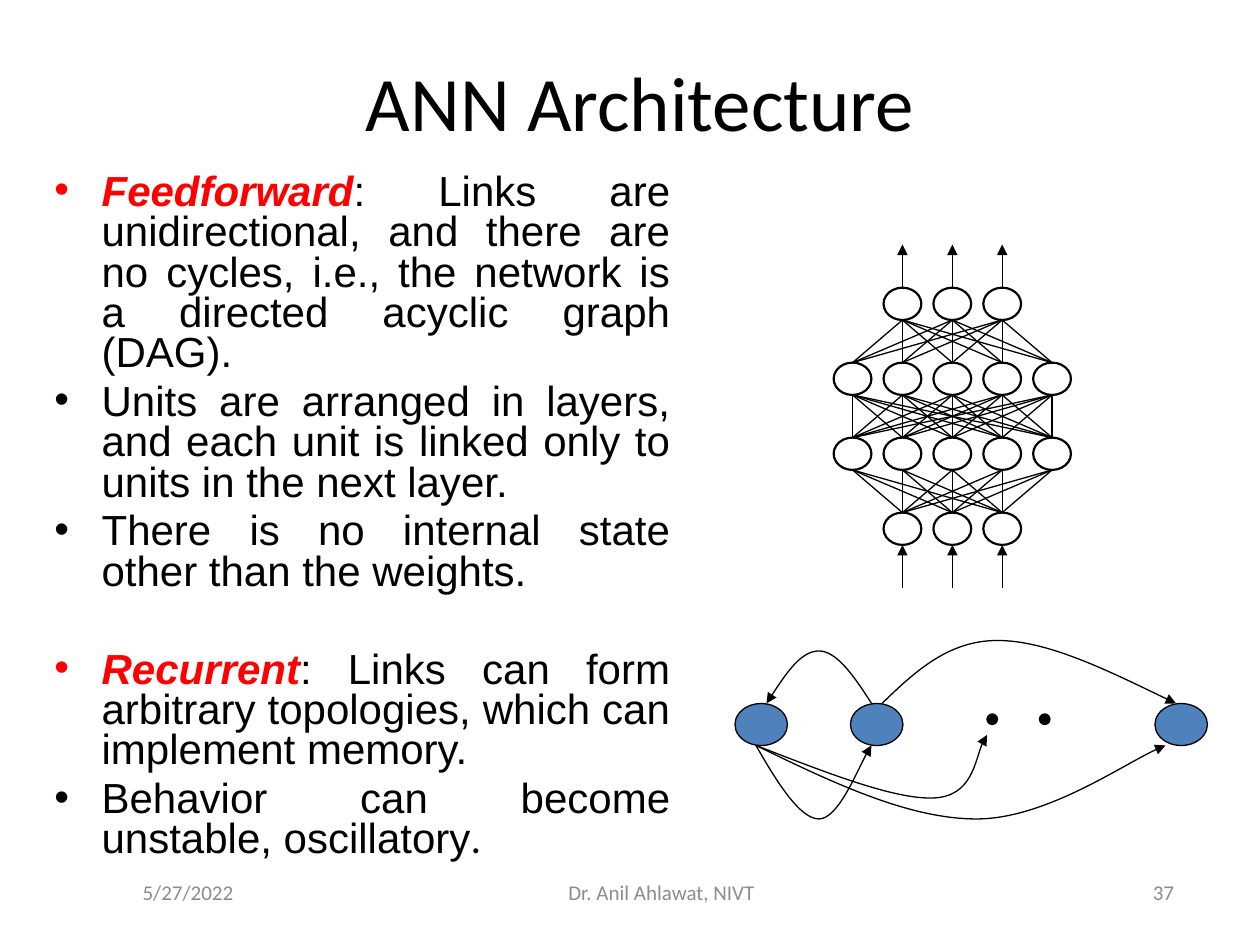
"""Build the ANN Architecture slide on a grid of 120 columns by 90 rows."""
from itertools import pairwise, product

from lxml.etree import SubElement
from pptx import Presentation
from pptx.dml.color import RGBColor
from pptx.enum.shapes import MSO_CONNECTOR, MSO_SHAPE
from pptx.enum.text import MSO_ANCHOR, PP_ALIGN
from pptx.oxml.ns import qn
from pptx.util import Inches, Pt

BLACK = RGBColor(0x00, 0x00, 0x00)
WHITE = RGBColor(0xFF, 0xFF, 0xFF)
RED = RGBColor(0xFF, 0x00, 0x00)
GRAY = RGBColor(0x8C, 0x8C, 0x8C)
BLUE = RGBColor(0x4F, 0x81, 0xBD)

deck = Presentation()
deck.slide_width, deck.slide_height = Inches(10), Inches(7.5)
page = deck.slides.add_slide(deck.slide_layouts[6])
shapes = page.shapes
unit = deck.slide_width / 120


def grid(*counts):
    return [round(count * unit) for count in counts]


def add_span(para, text, font, size, color, strong=False):
    span = para.add_run()
    span.text = text
    span.font.name, span.font.size = font, Pt(size)
    span.font.color.rgb = color
    span.font.bold = span.font.italic = strong


labels = [
    ("ANN Architecture", 10, 0, 102, 19.2, PP_ALIGN.CENTER, 44, BLACK),
    ("5/27/2022", 12.4, 82, 25, 6, PP_ALIGN.LEFT, 12, GRAY),
    ("Dr. Anil Ahlawat, NIVT", 44, 82, 38, 6, PP_ALIGN.CENTER, 12, GRAY),
    ("37", 88, 82, 25, 6, PP_ALIGN.RIGHT, 12, GRAY),
]
for text, left, top, width, height, alignment, size, color in labels:
    box = shapes.add_textbox(*grid(left, top, width, height))
    box.text_frame.word_wrap = True
    box.text_frame.vertical_anchor = MSO_ANCHOR.MIDDLE
    para = box.text_frame.paragraphs[0]
    para.alignment = alignment
    add_span(para, text, "Calibri", size, color)

bullets = [
    ("Feedforward", ": Links are unidirectional, and there are no cycles, i.e., "
     "the network is a directed acyclic graph (DAG).", "", 4.8),
    ("", "Units are arranged in layers, and each unit is linked only to units "
     "in the next layer.", "", 4.8),
    ("", "There is no internal state other than the weights.", "", 4.8),
    ("Recurrent", ": Links can form arbitrary topologies, which can implement "
     "memory.", "", 33),
    ("", "Behavior can become unstable, oscillatory", ".", 4.8),
]
box = shapes.add_textbox(*grid(4, 16, 61, 70))
frame = box.text_frame
frame.word_wrap = True
for index, (term, text, ending, gap) in enumerate(bullets):
    para = frame.add_paragraph() if index else frame.paragraphs[0]
    para.alignment = PP_ALIGN.JUSTIFY
    para.line_spacing, para.space_before = 0.8, Pt(gap)
    settings = para._p.get_or_add_pPr()
    indent = round(4.5 * unit)
    settings.set("marL", str(indent))
    settings.set("indent", str(-indent))
    SubElement(settings, qn("a:buFont")).set("typeface", "Arial")
    SubElement(settings, qn("a:buChar")).set("char", "•")
    if term:
        add_span(para, term, "Arial", 24, RED, strong=True)
    add_span(para, text, "Arial", 24, BLACK)
    if ending:
        add_span(para, ending, "Calibri", 24, BLACK)

node_width, node_height, arrow_length = 3.6, 3.08, 4.1
layers = []
for row, columns in enumerate([(1, 2, 3), range(5), range(5), (1, 2, 3)]):
    top = 27.4 + 7.14 * row
    layers.append([(81.2 + 4.75 * column, top) for column in columns])

ovals = [(center - node_width / 2, top, node_width, node_height, WHITE, 1.25)
         for layer in layers for center, top in layer]
ovals += [(left, 67, 5, 4, BLUE, 0.75) for left in (70, 81, 110)]
ovals += [(left, 68, 1, 1, BLACK, 0.75) for left in (94, 99)]
for left, top, width, height, color, weight in ovals:
    oval = shapes.add_shape(MSO_SHAPE.OVAL, *grid(left, top, width, height))
    oval.shadow.inherit = False
    oval.fill.solid()
    oval.fill.fore_color.rgb = color
    oval.line.color.rgb = BLACK
    oval.line.width = Pt(weight)

links = []
for upper, lower in pairwise(layers):
    for (start, top), (end, base) in product(upper, lower):
        links.append((start, top + node_height, end, base, False))
for center, top in layers[0]:
    links.append((center, top, center, top - arrow_length, True))
for center, top in layers[-1]:
    base = top + node_height
    links.append((center, base + arrow_length, center, base, True))

strokes = []
for *ends, arrow in links:
    link = shapes.add_connector(MSO_CONNECTOR.STRAIGHT, *grid(*ends))
    SubElement(link._element.spPr, qn("a:effectLst"))
    strokes.append((link, arrow))

curves = [
    [(72, 71), (74, 74.5), (76.2, 78), (78, 78), (79.8, 78), (82.2, 72.1), (83, 71)],
    [(72, 71), (79.2, 74.5), (86.5, 78), (93, 78), (99.5, 78), (108, 72.1), (111, 71)],
    [(72, 71), (78.7, 73.6), (85.3, 76.2), (89, 76), (92.6, 75.8), (93.1, 71), (94, 70)],
    [(83, 67), (81.4, 64.5), (79.7, 62), (78, 62), (76.3, 62), (74.6, 64.5), (73, 67)],
    [(84, 67), (87.1, 64), (90.3, 61), (95, 61), (99.7, 61), (105.8, 64), (112, 67)],
]
for points in curves:
    start, *others = [grid(*point) for point in points]
    builder = shapes.build_freeform(*start)
    builder.add_line_segments(others, close=False)
    curve = builder.convert_to_shape()
    curve.shadow.inherit = False
    curve.fill.background()
    segments = list(curve._element.iter(qn("a:lnTo")))
    outline = segments[0].getparent()
    for first in (0, 3):
        bezier = SubElement(outline, qn("a:cubicBezTo"))
        for segment in segments[first:first + 3]:
            bezier.append(segment[0])
            outline.remove(segment)
    strokes.append((curve, True))

for stroke, arrow in strokes:
    stroke.line.color.rgb = BLACK
    stroke.line.width = Pt(0.75)
    if arrow:
        SubElement(stroke.line._get_or_add_ln(), qn("a:tailEnd")).set("type", "triangle")

deck.save("out.pptx")
